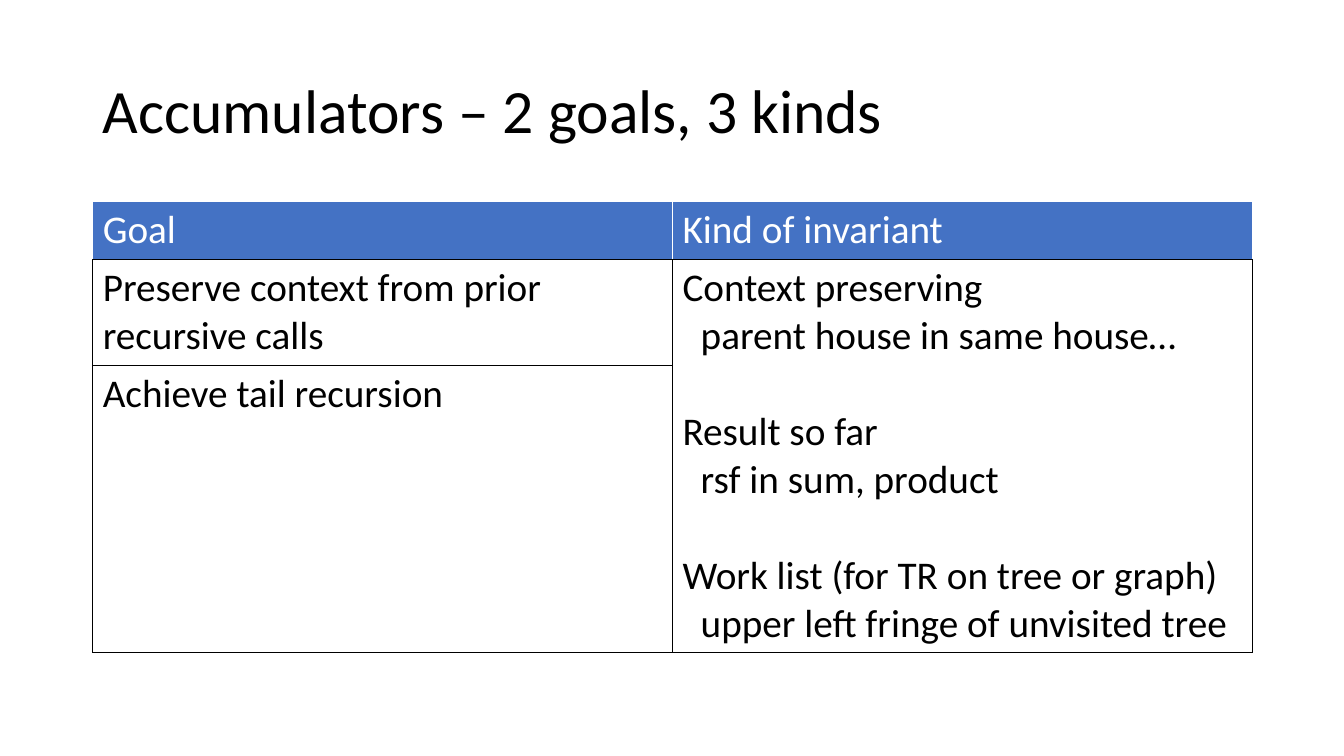
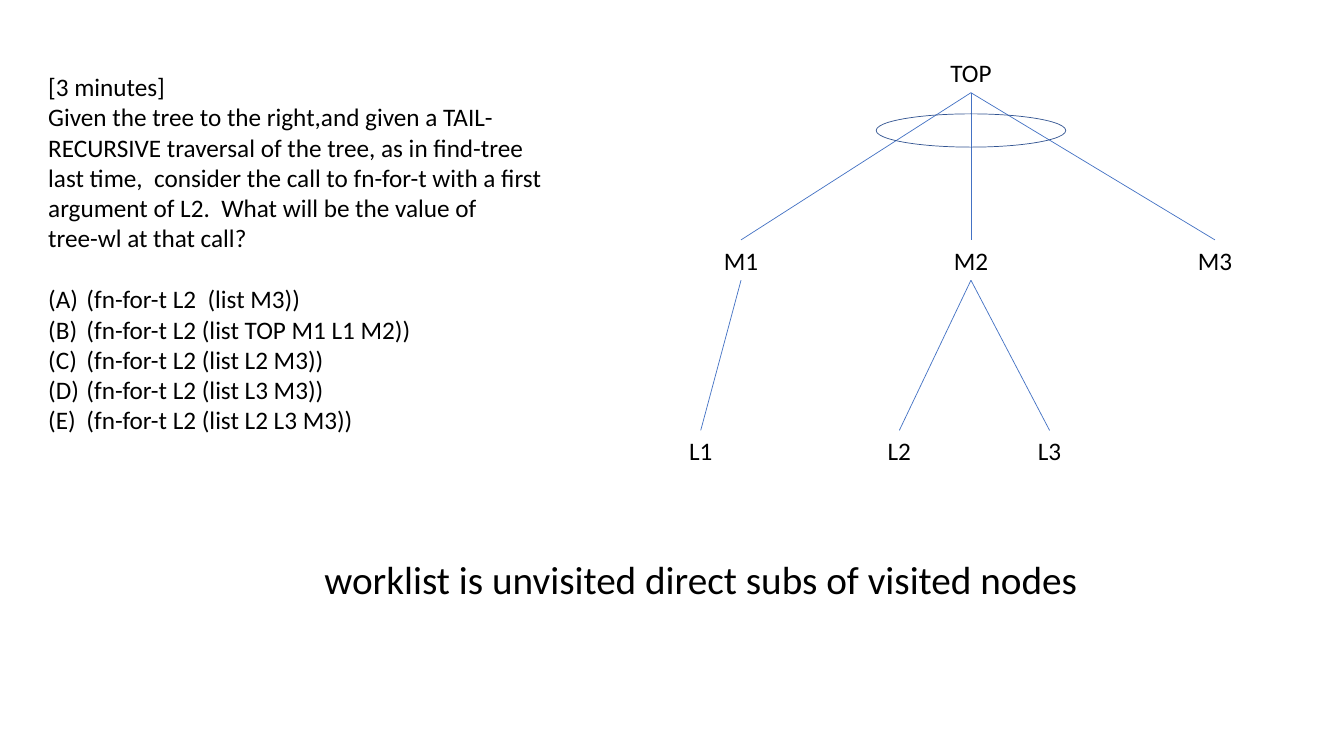
from lxml import etree
from pptx import Presentation
from pptx.dml.color import RGBColor
from pptx.enum.shapes import MSO_CONNECTOR, MSO_SHAPE
from pptx.enum.text import MSO_ANCHOR, PP_ALIGN
from pptx.oxml.ns import qn
from pptx.util import Inches, Pt

STRAIGHT, OVAL = MSO_CONNECTOR.STRAIGHT, MSO_SHAPE.OVAL
LEFT, CENTER = PP_ALIGN.LEFT, PP_ALIGN.CENTER
MIDDLE = MSO_ANCHOR.MIDDLE
BOTTOM_SIDE, TOP_SIDE = 2, 0

# Shared style
FONT = "Calibri"
BLACK, WHITE, BLUE, DARK_BLUE = "000000", "FFFFFF", "4472C4", "325491"
TITLE_SIZE, LARGE_SIZE, BODY_SIZE = 44, 28, 18
LINE_HEIGHT = 1.22
MARGIN, CONTENT_WIDTH = 0.92, 11.5

# Slide 1 content
TITLE = "Accumulators – 2 goals, 3 kinds"
HEADERS = ["Goal", "Kind of invariant"]
GOALS = ["Preserve context from prior recursive calls", "Achieve tail recursion"]
INVARIANTS = [
    ("Context preserving", "parent house in same house…"),
    ("Result so far", "rsf in sum, product"),
    ("Work list (for TR on tree or graph)", "upper left fringe of unvisited tree"),
]
ROW_HEIGHTS = [0.57, 1.05, 2.85]
SUBLINE_INDENT = 0.18

# Slide 2 content
QUESTION = [
    "[3 minutes]",
    "Given the tree to the right,and given a TAIL-RECURSIVE traversal of the tree, "
    "as in find-tree last time,  consider the call to fn-for-t with a first "
    "argument of L2.  What will be the value of",
    "tree-wl at that call?",
]
ANSWERS = [
    "(fn-for-t L2  (list M3))",
    "(fn-for-t L2 (list TOP M1 L1 M2))",
    "(fn-for-t L2 (list L2 M3))",
    "(fn-for-t L2 (list L3 M3))",
    "(fn-for-t L2 (list L2 L3 M3))",
]
ANSWER_INDENT = 0.38
CONCLUSION = "worklist is unvisited direct subs of visited nodes"
# Each level: top, then the centre of every node
TREE_LEVELS = [
    (0.52, {"TOP": 9.63}),
    (2.38, {"M1": 7.35, "M2": 9.63, "M3": 12.05}),
    (4.27, {"L1": 6.95, "L2": 8.92, "L3": 10.41}),
]
CHILDREN = {"TOP": ["M1", "M2", "M3"], "M1": ["L1"], "M2": ["L2", "L3"]}
NODE_WIDTH, NODE_HEIGHT = 0.72, 0.4


def color(value):
    return RGBColor.from_string(value)


def inches(*lengths):
    return [Inches(length) for length in lengths]


def style(frame, size, value=BLACK, align=LEFT):
    for para in frame.paragraphs:
        para.alignment = align
        for span in para.runs:
            span.font.name = FONT
            span.font.size = Pt(size)
            span.font.bold = False
            span.font.color.rgb = color(value)


def add_text(page, text, place, size, align=LEFT):
    box = page.shapes.add_textbox(*inches(*place))
    box.text_frame.word_wrap = True
    box.text_frame.text = text
    style(box.text_frame, size, align=align)
    return box


def indent(para, left, first=0):
    properties = para._p.get_or_add_pPr()
    properties.set("marL", str(Inches(left)))
    properties.set("indent", str(Inches(first)))
    return properties


def set_borders(cell, **sides):
    properties = cell._tc.get_or_add_tcPr()
    for side in "LRTB":
        line = etree.SubElement(properties, qn(f"a:ln{side}"), w=str(Pt(1)))
        fill = etree.SubElement(line, qn("a:solidFill"))
        etree.SubElement(fill, qn("a:srgbClr"), val=sides.get(side, BLACK))


def build_table_slide(deck):
    page = deck.slides.add_slide(deck.slide_layouts[5])
    title = page.shapes.title
    title.left, title.top, title.width, title.height = inches(MARGIN, 0.4, CONTENT_WIDTH, 1.45)
    title.text_frame.text = TITLE
    title.text_frame.vertical_anchor = MIDDLE
    title.text_frame.paragraphs[0].line_spacing = 0.9
    style(title.text_frame, TITLE_SIZE)

    # Table grid
    place = inches(MARGIN, 2, CONTENT_WIDTH, sum(ROW_HEIGHTS))
    table = page.shapes.add_table(len(ROW_HEIGHTS), len(HEADERS), *place).table
    for row, height in zip(table.rows, ROW_HEIGHTS):
        row.height = Inches(height)
    invariant_cell = table.cell(1, 1)
    invariant_cell.merge(table.cell(2, 1))

    # Table text
    for column, header in enumerate(HEADERS):
        table.cell(0, column).text_frame.text = header
    for row, goal in enumerate(GOALS, start=1):
        table.cell(row, 0).text_frame.text = goal
    lines = [line for pair in INVARIANTS for line in pair]
    invariant_cell.text_frame.text = "\n".join(lines)
    for number, para in enumerate(invariant_cell.text_frame.paragraphs):
        if number % 2:
            indent(para, SUBLINE_INDENT)
        elif number:
            para.space_before = Pt(LARGE_SIZE * LINE_HEIGHT)

    # Table colours
    for number, row in enumerate(table.rows):
        is_header = number == 0
        for cell in row.cells:
            if is_header:
                set_borders(cell, L=WHITE, R=WHITE, T=WHITE)
            else:
                set_borders(cell)
            cell.fill.solid()
            cell.fill.fore_color.rgb = color(BLUE if is_header else WHITE)
            style(cell.text_frame, LARGE_SIZE, WHITE if is_header else BLACK)


def add_edge(page, parent, child):
    edge = page.shapes.add_connector(STRAIGHT, 0, 0, 0, 0)
    edge.begin_connect(parent, BOTTOM_SIDE)
    edge.end_connect(child, TOP_SIDE)
    edge.line.color.rgb = color(BLUE)
    edge.line.width = Pt(0.5)
    etree.SubElement(edge._element.spPr, qn("a:effectLst"))


def build_tree_slide(deck):
    page = deck.slides.add_slide(deck.slide_layouts[6])

    # Tree
    nodes = {}
    for top, centers in TREE_LEVELS:
        for name, center in centers.items():
            place = (center - NODE_WIDTH / 2, top, NODE_WIDTH, NODE_HEIGHT)
            nodes[name] = add_text(page, name, place, BODY_SIZE, CENTER)
    for parent, children in CHILDREN.items():
        for child in children:
            add_edge(page, nodes[parent], nodes[child])

    # Ring around the top edges
    ring = page.shapes.add_shape(OVAL, *inches(8.69, 1.13, 1.88, 0.33))
    ring.shadow.inherit = False
    ring.fill.background()
    ring.line.color.rgb = color(DARK_BLUE)
    ring.line.width = Pt(0.5)

    # Question and lettered answers
    text = "\n".join(QUESTION + ANSWERS)
    question = add_text(page, text, (0.38, 0.66, 5.24, 3.74), BODY_SIZE)
    answers = question.text_frame.paragraphs[len(QUESTION):]
    answers[0].space_before = Pt(BODY_SIZE * LINE_HEIGHT)
    for para in answers:
        properties = indent(para, ANSWER_INDENT, -ANSWER_INDENT)
        etree.SubElement(properties, qn("a:buFont"), typeface="+mj-lt")
        etree.SubElement(properties, qn("a:buAutoNum"), type="alphaUcParenBoth")

    add_text(page, CONCLUSION, (3.12, 5.46, 7.84, 0.57), LARGE_SIZE)


def main():
    deck = Presentation()
    deck.slide_width, deck.slide_height = inches(13.33, 7.5)
    build_table_slide(deck)
    build_tree_slide(deck)
    deck.save("out.pptx")


if __name__ == "__main__":
    main()
